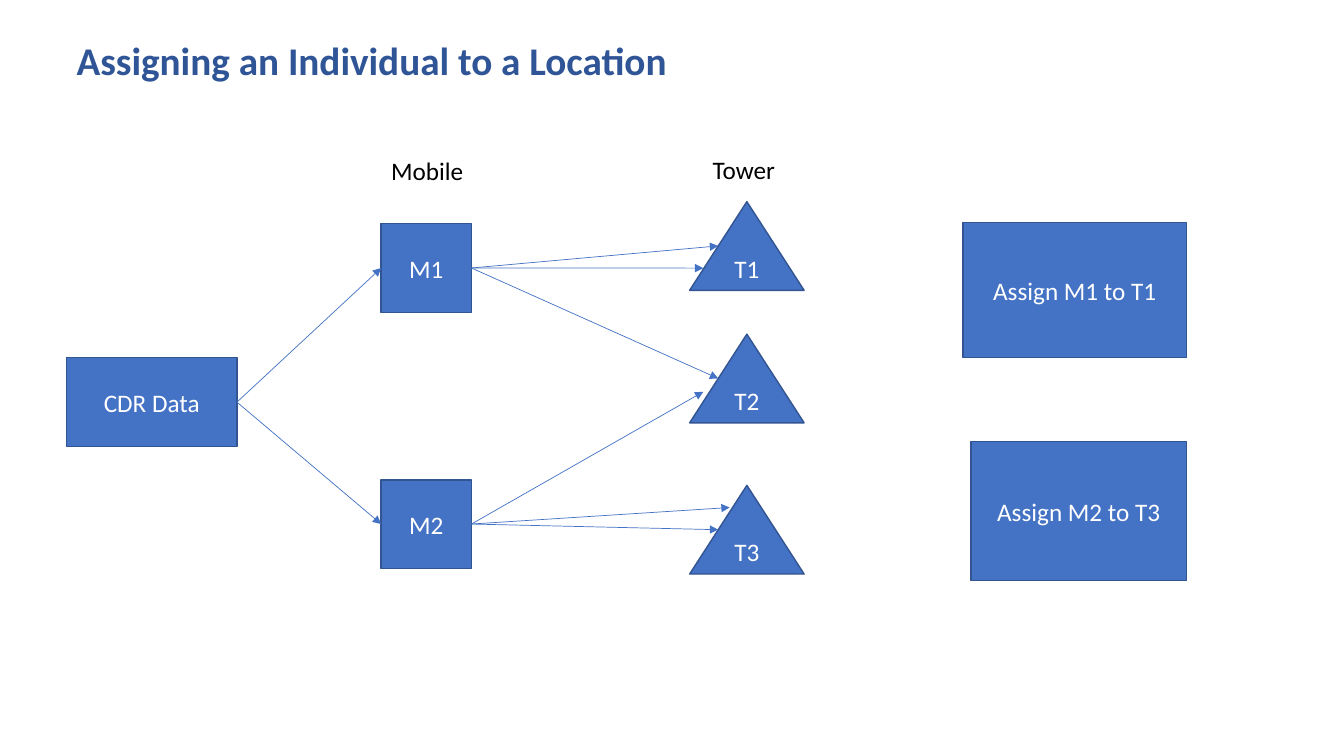
import dataclasses

import lxml.etree
import pptx
import pptx.dml.color
import pptx.enum.shapes
import pptx.enum.text
import pptx.oxml.ns
import pptx.util

SHAPE = pptx.enum.shapes.MSO_SHAPE
ALIGN = pptx.enum.text.PP_ALIGN
ANCHOR = pptx.enum.text.MSO_ANCHOR
INK = {"title": "2F5597", "fill": "4472C4", "edge": "325491",
       "light": "FFFFFF", "dark": "000000"}
FONT = "Calibri"
WIDE, HIGH = pptx.util.Inches(13.33), pptx.util.Inches(7.5)


@dataclasses.dataclass
class Box:
    """A place on the slide, in percent of its width and height."""
    left: float
    top: float
    width: float
    height: float

    def point(self, across: float, down: float) -> tuple[int, int]:
        """Give the spot at the stated shares of the box."""
        return (round(WIDE * (self.left + across * self.width) / 100),
                round(HIGH * (self.top + down * self.height) / 100))

    def frame(self) -> tuple[int, int, int, int]:
        """Give left, top, width and height in slide units."""
        return (*self.point(0, 0), round(WIDE * self.width / 100),
                round(HIGH * self.height / 100))


@dataclasses.dataclass
class Node:
    """A filled shape with centred text."""
    text: str
    box: Box
    kind: SHAPE = SHAPE.RECTANGLE


@dataclasses.dataclass
class Link:
    """An arrow from a node's right side to a share of another node's box."""
    start: str
    end: str
    across: float
    down: float


def tint(name: str) -> pptx.dml.color.RGBColor:
    """Look up a colour."""
    return pptx.dml.color.RGBColor.from_string(INK[name])


def write(shape, text: str, ink: str, size: int = 18, bold: bool = False,
          align=ALIGN.LEFT, anchor=ANCHOR.TOP) -> None:
    """Put one formatted run in a shape."""
    frame = shape.text_frame
    frame.word_wrap = True
    frame.auto_size = pptx.enum.text.MSO_AUTO_SIZE.NONE
    frame.vertical_anchor = anchor
    para = frame.paragraphs[0]
    para.alignment = align
    run = para.add_run()
    run.text = text
    run.font.name, run.font.size = FONT, pptx.util.Pt(size)
    run.font.bold = bold
    run.font.color.rgb = tint(ink)


def draw_node(slide, node: Node):
    """Draw a node and return its shape."""
    shape = slide.shapes.add_shape(node.kind, *node.box.frame())
    shape.shadow.inherit = False
    shape.fill.solid()
    shape.fill.fore_color.rgb = tint("fill")
    shape.line.color.rgb = tint("edge")
    shape.line.width = pptx.util.Pt(1)
    write(shape, node.text, "light", align=ALIGN.CENTER, anchor=ANCHOR.MIDDLE)
    return shape


def draw_link(slide, link: Link, nodes: dict, shapes: dict) -> None:
    """Draw an arrow, glued to the sides of rectangles."""
    line = slide.shapes.add_connector(
        pptx.enum.shapes.MSO_CONNECTOR.STRAIGHT,
        *nodes[link.start].box.point(1, 0.5),
        *nodes[link.end].box.point(link.across, link.down))
    line.begin_connect(shapes[link.start], 3)
    if link.across == 0:
        line.end_connect(shapes[link.end], 1)
    line.line.color.rgb = tint("fill")
    line.line.width = pptx.util.Pt(0.5)
    mark = pptx.oxml.ns.qn
    lxml.etree.SubElement(line.line._get_or_add_ln(), mark("a:tailEnd"),
                          type="triangle")
    lxml.etree.SubElement(line._element.spPr, mark("a:effectLst"))


NODES = {"CDR": Node("CDR Data", Box(4.95, 47.33, 12.68, 11.73))}
for name, top in {"M1": 29.6, "M2": 63.47}.items():
    NODES[name] = Node(name, Box(28.36, top, 6.72, 11.7))
for name, top in {"T1": 26.67, "T2": 44.2, "T3": 64.2}.items():
    NODES[name] = Node(name, Box(51.31, top, 8.52, 11.73),
                       SHAPE.ISOSCELES_TRIANGLE)
NODES["A1"] = Node("Assign M1 to T1", Box(71.64, 29.47, 16.65, 17.87))
NODES["A2"] = Node("Assign M2 to T3", Box(72.24, 58.4, 16.05, 18.4))

LINKS = [
    Link("CDR", "M1", 0, 0.5), Link("CDR", "M2", 0, 0.5),
    Link("M1", "T1", 0.25, 0.5), Link("M1", "T1", 0.12, 0.75),
    Link("M1", "T2", 0.25, 0.5), Link("M2", "T2", 0.12, 0.65),
    Link("M2", "T3", 0.35, 0.25), Link("M2", "T3", 0.25, 0.5),
]
HEADS = {"Mobile": Box(28.36, 19.87, 8.1, 5.33),
         "Tower": Box(52.29, 19.8, 11.03, 5.33)}

deck = pptx.Presentation()
deck.slide_width, deck.slide_height = WIDE, HIGH
slide = deck.slides.add_slide(deck.slide_layouts.get_by_name("Title Only"))

title = slide.shapes.title
title.left, title.top, title.width, title.height = Box(
    4.95, 4.13, 54.84, 11.73).frame()
write(title, "Assigning an Individual to a Location", "title", 28, True)

shapes = {name: draw_node(slide, node) for name, node in NODES.items()}
for link in LINKS:
    draw_link(slide, link, NODES, shapes)
for text, box in HEADS.items():
    write(slide.shapes.add_textbox(*box.frame()), text, "dark")

deck.save("out.pptx")
